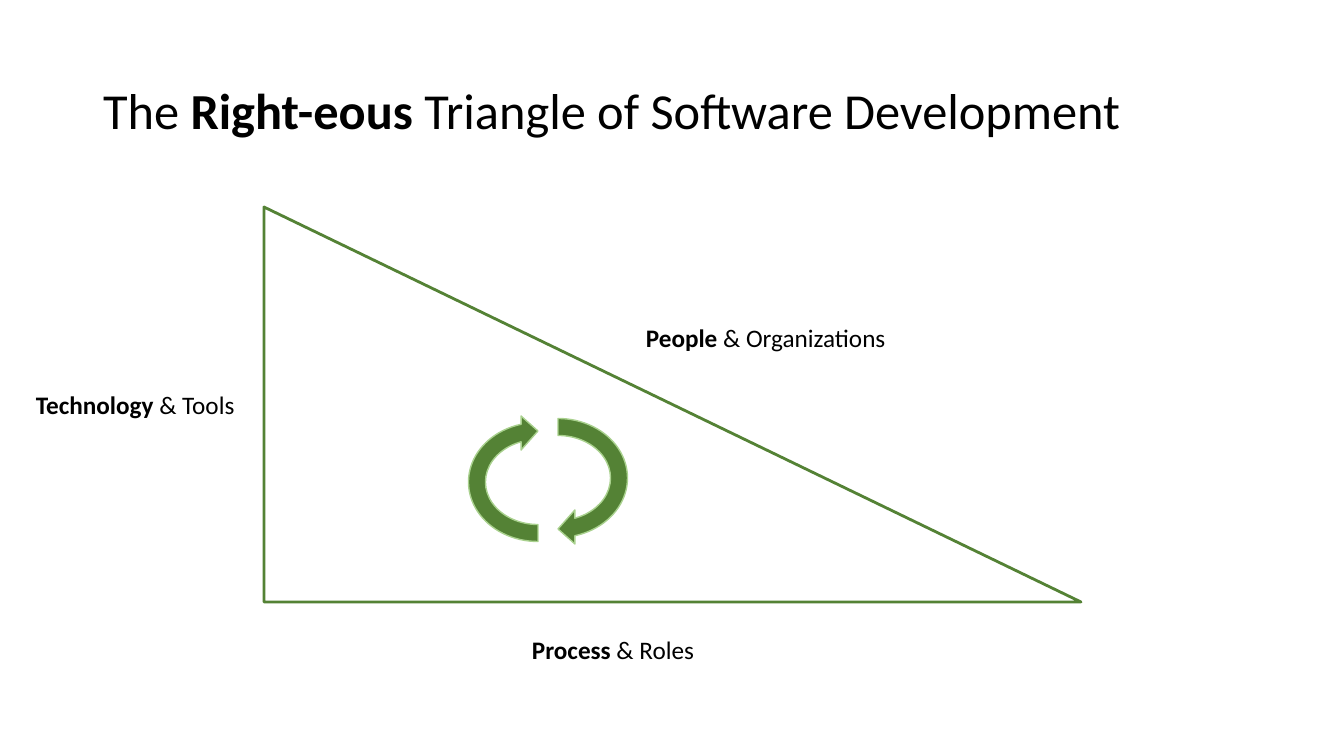
"""Build the slide on the right-angled triangle of software development."""
from pptx import Presentation
from pptx.dml.color import RGBColor
from pptx.enum.shapes import MSO_SHAPE as Shape
from pptx.enum.text import MSO_ANCHOR as Anchor, MSO_AUTO_SIZE as AutoSize, PP_ALIGN as Align
from pptx.util import Emu, Pt

BLACK = RGBColor(0x00, 0x00, 0x00)
GREEN = RGBColor(0x54, 0x82, 0x35)
LIGHT_GREEN = RGBColor(0xA9, 0xD1, 0x8E)

SLIDE_SIZE = (1344, 756)
TITLE = [("The ", False), ("Right-eous", True), (" Triangle of Software Development", False)]
TITLE_BOX = (93, 40, 1159, 146)
TRIANGLE_BOX = (264, 207, 817, 395)
LABEL_SIZE = (300, 40)
LABELS = [
    ("People", " & Organizations", (636, 317)),
    ("Process", " & Roles", (522, 629)),
    ("Technology", " & Tools", (26, 384)),
]
ARROW_SIZE = (136, 156)
ARROWS = [((490, 400), 90), ((470, 404), 270)]


def px(*lengths):
    return [Emu(round(length * 914400 / 100.8)) for length in lengths]


def write(para, spans, size):
    para.alignment = Align.LEFT
    for text, bold in spans:
        span = para.add_run()
        span.text = text
        span.font.color.rgb = BLACK
        for name, value in {"name": "Calibri", "size": Pt(size), "bold": bold}.items():
            setattr(span.font, name, value)


def draw(page, kind, box, line, width, fill=None):
    shape = page.shapes.add_shape(kind, *px(*box))
    shape.shadow.inherit = False
    if fill is None:
        shape.fill.background()
    else:
        shape.fill.solid()
        shape.fill.fore_color.rgb = fill
    shape.line.color.rgb = line
    shape.line.width = Pt(width)
    return shape


def add_title(page):
    title = page.shapes.title
    for name, value in zip(("left", "top", "width", "height"), px(*TITLE_BOX)):
        setattr(title, name, value)
    frame = title.text_frame
    for name, value in {"vertical_anchor": Anchor.MIDDLE, "auto_size": AutoSize.NONE,
                        "word_wrap": True}.items():
        setattr(frame, name, value)
    para = frame.paragraphs[0]
    para.line_spacing = 0.9
    write(para, TITLE, 36)


def add_label(page, lead, rest, corner):
    frame = page.shapes.add_textbox(*px(*corner, *LABEL_SIZE)).text_frame
    frame.word_wrap = True
    frame.auto_size = AutoSize.SHAPE_TO_FIT_TEXT
    write(frame.paragraphs[0], [(lead, True), (rest, False)], 18)


def main():
    deck = Presentation()
    deck.slide_width, deck.slide_height = px(*SLIDE_SIZE)
    page = deck.slides.add_slide(deck.slide_layouts[5])
    add_title(page)
    draw(page, Shape.RIGHT_TRIANGLE, TRIANGLE_BOX, GREEN, 2)
    for label in LABELS:
        add_label(page, *label)
    for corner, angle in ARROWS:
        arrow = draw(page, Shape.CIRCULAR_ARROW, (*corner, *ARROW_SIZE), LIGHT_GREEN, 1, GREEN)
        arrow.rotation = angle
    deck.save("out.pptx")


if __name__ == "__main__":
    main()
